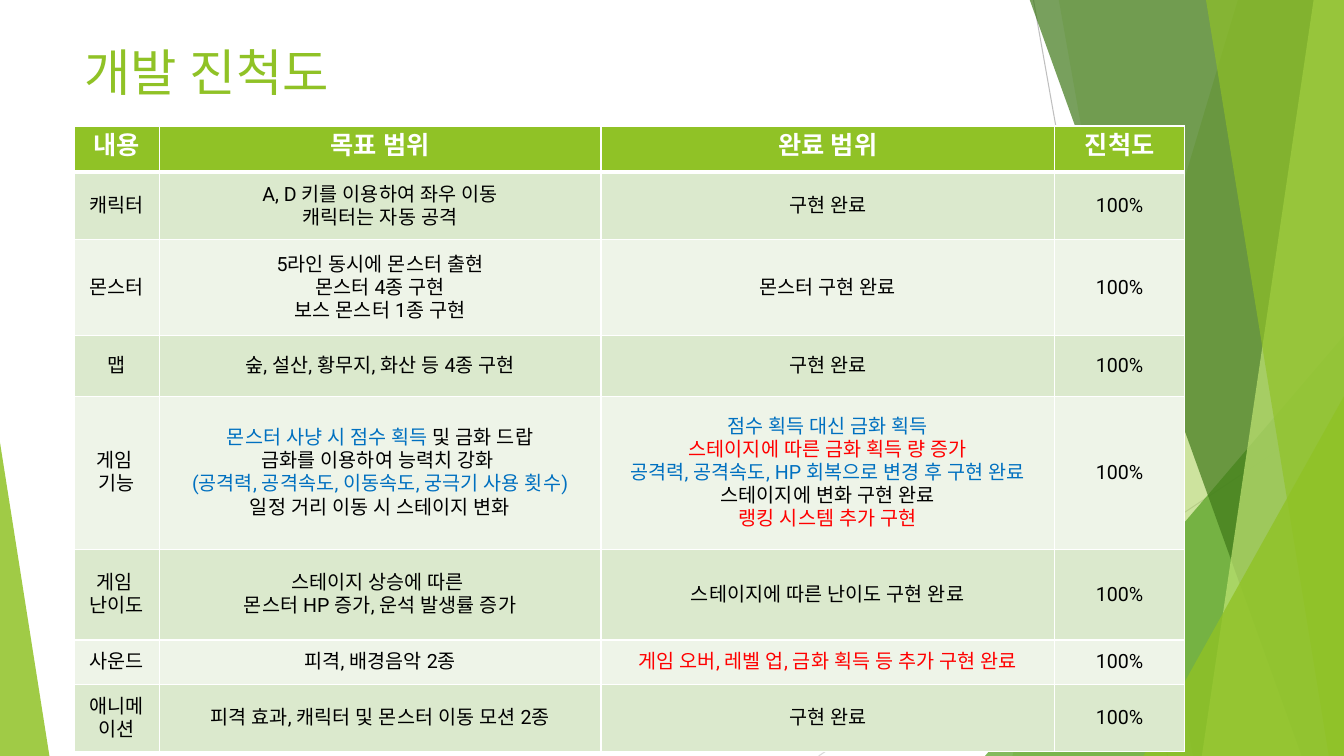
from lxml.etree import SubElement
from pptx import Presentation
from pptx.dml.color import RGBColor
from pptx.enum.shapes import MSO_CONNECTOR as Connector, MSO_SHAPE as Shape
from pptx.enum.text import MSO_ANCHOR as Anchor, PP_ALIGN as Align
from pptx.oxml.ns import qn
from pptx.util import Inches, Pt

FONT = "Roboto"
GREEN, WHITE, BLACK, BLUE, RED = "90C226", "FFFFFF", "000000", "0070C0", "FF0000"
ROW_FILLS = ["DBE9CD", "EEF4E8"]
HEADER_STYLE = {"size": Pt(18), "bold": True}
BODY_STYLE = {"size": Pt(14), "bold": False}

GUIDE_LINES = [
    (10.25, 0, 11.58, 7.5, "BFBFBF"),
    (13.33, 4.03, 8.12, 7.5, "D9D9D9"),
]
BACK_BANDS = [(12.28, 10.04, GREEN, 30), (10.5, 11.83, GREEN, 20)]
FRONT_BANDS = [
    (10.21, 12.91, "3F7819", 70),
    (13.03, 11.92, "C0E474", 70),
    (11.96, 13.18, GREEN, 65),
]
BACK_PEAK = (9.77, 3.33, 3.56, 4.17, 1, "54A021", 72)
FRONT_PEAKS = [
    (11.34, 3.93, 1.99, 3.57, 1, GREEN, 80),
    (0, 4.39, 0.49, 3.11, 0, GREEN, 85),
]

COLUMN_WIDTHS = [0.84, 4.38, 4.5, 1.29]
ROW_HEIGHTS = [0.46, 0.67, 0.95, 0.6, 1.52, 0.9, 0.44, 0.67]
HEADERS = ["내용", "목표 범위", "완료 범위", "진척도"]
DONE = "100%"
PROGRESS = [
    (["캐릭터"], ["A, D 키를 이용하여 좌우 이동", "캐릭터는 자동 공격"], ["구현 완료"]),
    (["몬스터"],
     ["5라인 동시에 몬스터 출현", "몬스터 4종 구현", "보스 몬스터 1종 구현"],
     ["몬스터 구현 완료"]),
    (["맵"], ["숲, 설산, 황무지, 화산 등 4종 구현"], ["구현 완료"]),
    (["게임 ", "기능"],
     [[("몬스터 사냥 시 점수 획득 ", BLUE), ("및 금화 드랍", BLACK)],
      "금화를 이용하여 능력치 강화 ",
      [("(공격력, 공격속도, 이동속도, 궁극기 사용 횟수)", BLUE)],
      "일정 거리 이동 시 스테이지 변화"],
     [[("점수 획득 대신 금화 획득", BLUE)],
      [("스테이지에 따른 금화 획득 량 증가", RED)],
      [("공격력, 공격속도, HP 회복으로 변경 후 구현 완료", BLUE)],
      "스테이지에 변화 구현 완료",
      [("랭킹 시스템 추가 구현", RED)]]),
    (["게임 ", "난이도"],
     ["스테이지 상승에 따른 ", "몬스터 HP 증가, 운석 발생률 증가"],
     ["스테이지에 따른 난이도 구현 완료"]),
    (["사운드"], ["피격, 배경음악 2종"],
     [[("게임 오버, 레벨 업, 금화 획득 등 추가 구현 완료", RED)]]),
    (["애니메이션"], ["피격 효과, 캐릭터 및 몬스터 이동 모션 2종"], ["구현 완료"]),
]


def rgb(code):
    """Turn a hex string into a colour."""
    return RGBColor.from_string(code)


def paint(shape, color, opacity):
    """Give a shape a translucent fill without line or shadow."""
    shape.shadow.inherit = False
    shape.line.fill.background()
    shape.fill.solid()
    shape.fill.fore_color.rgb = rgb(color)
    tint = shape.fill._xPr.find(qn("a:solidFill"))[0]
    SubElement(tint, qn("a:alpha"), val=str(opacity * 1000))


def add_guide(slide, x1, y1, x2, y2, color):
    """Draw a thin straight line."""
    guide = slide.shapes.add_connector(
        Connector.STRAIGHT, *(Inches(v) for v in (x1, y1, x2, y2)))
    guide.line.color.rgb = rgb(color)
    guide.line.width = Pt(0.75)
    SubElement(guide._element.spPr, qn("a:effectLst"))


def add_band(slide, top_x, bottom_x, color, opacity):
    """Draw a slanted band that reaches the right edge of the slide."""
    right, top, bottom = 13.33, -0.01, 7.5
    corners = [(right, top), (right, bottom), (bottom_x, bottom)]
    outline = slide.shapes.build_freeform(Inches(top_x), Inches(top))
    outline.add_line_segments([(Inches(x), Inches(y)) for x, y in corners])
    paint(outline.convert_to_shape(), color, opacity)


def add_peak(slide, left, top, width, height, apex, color, opacity):
    """Draw a right triangle with its apex on the left (0) or right (1)."""
    peak = slide.shapes.add_shape(
        Shape.ISOSCELES_TRIANGLE, *(Inches(v) for v in (left, top, width, height)))
    peak.adjustments[0] = apex
    paint(peak, color, opacity)


def add_run(paragraph, text, color, style):
    """Append a run with one font for Latin and Korean letters."""
    run = paragraph.add_run()
    run.text = text
    for name, value in {"name": FONT, **style}.items():
        setattr(run.font, name, value)
    run.font.color.rgb = rgb(color)
    SubElement(run.font._element, qn("a:ea"), typeface=FONT)


def add_title(slide, text):
    """Write the slide title."""
    title = slide.shapes.add_textbox(Inches(0.74), Inches(0.36), Inches(9.4), Inches(1.44))
    title.text_frame.word_wrap = True
    add_run(title.text_frame.paragraphs[0], text, GREEN, {"size": Pt(36)})


def add_borders(cell, bottom_width):
    """Put white borders around a cell, ahead of its fill."""
    properties = cell._tc.get_or_add_tcPr()
    for index, side in enumerate(["lnL", "lnR", "lnT", "lnB"]):
        width = bottom_width if side == "lnB" else 1
        border = SubElement(properties, qn(f"a:{side}"), w=str(Pt(width)))
        fill = SubElement(border, qn("a:solidFill"))
        SubElement(fill, qn("a:srgbClr"), val=WHITE)
        properties.insert(index, border)


def fill_cell(cell, lines, fill, color, style, anchor, bottom_width=1):
    """Write centred lines into a cell and colour it."""
    cell.fill.solid()
    cell.fill.fore_color.rgb = rgb(fill)
    cell.vertical_anchor = anchor
    add_borders(cell, bottom_width)
    frame = cell.text_frame
    for index, line in enumerate(lines):
        paragraph = frame.add_paragraph() if index else frame.paragraphs[0]
        paragraph.alignment = Align.CENTER
        for text, tone in [(line, color)] if isinstance(line, str) else line:
            add_run(paragraph, text, tone, style)


def add_progress_table(slide):
    """Build the table of goals, results and progress."""
    table = slide.shapes.add_table(
        len(ROW_HEIGHTS), len(COLUMN_WIDTHS), Inches(0.74), Inches(1.25),
        Inches(sum(COLUMN_WIDTHS)), Inches(sum(ROW_HEIGHTS))).table
    for column, width in zip(table.columns, COLUMN_WIDTHS):
        column.width = Inches(width)
    for row, height in zip(table.rows, ROW_HEIGHTS):
        row.height = Inches(height)
    for column, header in enumerate(HEADERS):
        fill_cell(table.cell(0, column), [header], GREEN, WHITE, HEADER_STYLE, Anchor.TOP, 3)
    for row, entry in enumerate(PROGRESS):
        for column, lines in enumerate([*entry, [DONE]]):
            fill_cell(table.cell(row + 1, column), lines, ROW_FILLS[row % 2],
                      BLACK, BODY_STYLE, Anchor.MIDDLE)


def main():
    """Build and save the slide."""
    deck = Presentation()
    deck.slide_width, deck.slide_height = Inches(13.33), Inches(7.5)
    slide = deck.slides.add_slide(deck.slide_layouts[6])
    for guide in GUIDE_LINES:
        add_guide(slide, *guide)
    for band in BACK_BANDS:
        add_band(slide, *band)
    add_peak(slide, *BACK_PEAK)
    for band in FRONT_BANDS:
        add_band(slide, *band)
    for peak in FRONT_PEAKS:
        add_peak(slide, *peak)
    add_title(slide, "개발 진척도")
    add_progress_table(slide)
    deck.save("out.pptx")


main()
